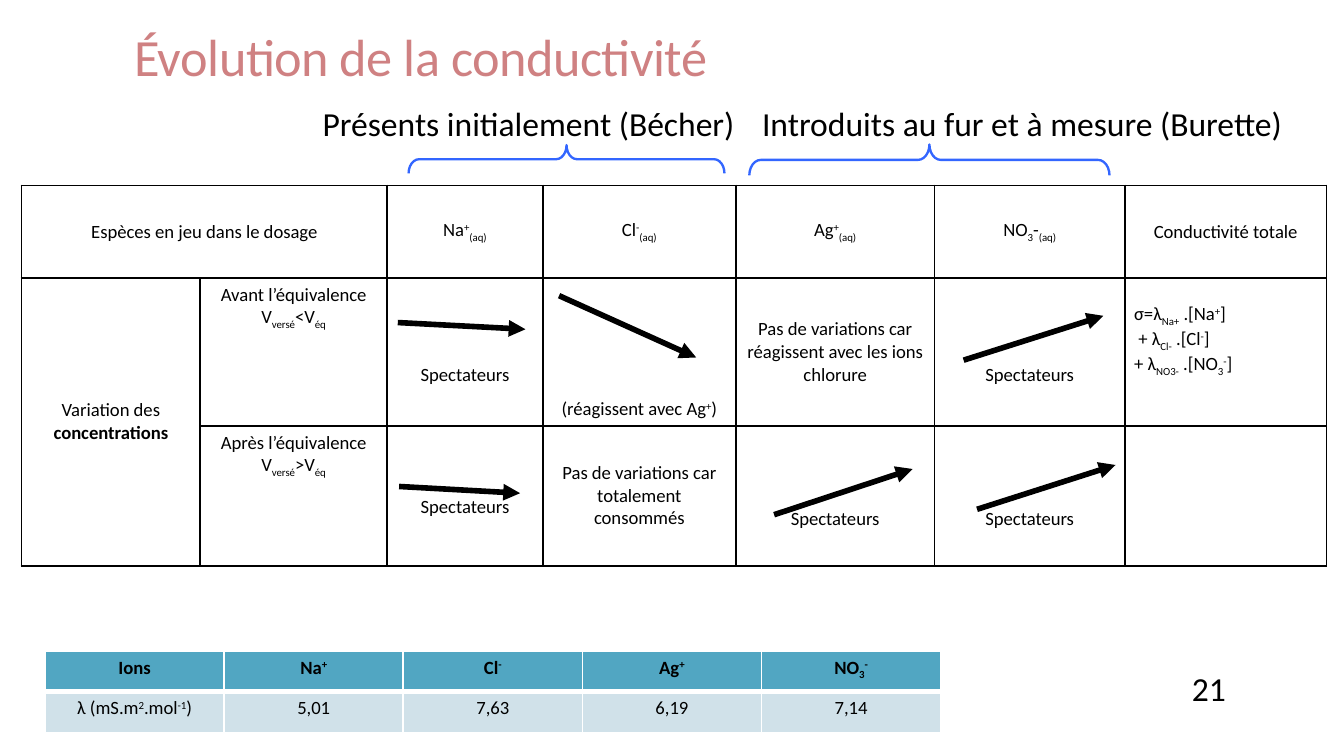
"""Build the slide on how conductivity evolves during a titration."""
import itertools
from typing import NamedTuple

import pptx
import pptx.dml.color
import pptx.enum.shapes
import pptx.enum.text
import pptx.oxml
import pptx.oxml.ns
import pptx.util

COLUMNS, ROWS = 100, 56.25
BLACK, WHITE, ROSE, BLUE = "000000", "FFFFFF", "CF8182", "3366FF"
TEAL, PALE = "51A6C2", "D0E1E9"
FONT = "Calibri"
BASELINES = {"^": "30000", "_": "-25000"}
INSETS = (0.7, 0.4)
LINE = 1.7
CENTER = pptx.enum.text.PP_ALIGN.CENTER
LEFT = pptx.enum.text.PP_ALIGN.LEFT
TOP = pptx.enum.text.MSO_ANCHOR.TOP
MIDDLE = pptx.enum.text.MSO_ANCHOR.MIDDLE
BOTTOM = pptx.enum.text.MSO_ANCHOR.BOTTOM


class Entry(NamedTuple):
    """A table cell: runs split by |, marked ^ raised, _ lowered or * bold."""
    lines: tuple = ()
    anchor: object = MIDDLE
    align: object = CENTER
    drop: float = 0
    lift: float = 0


class Label(NamedTuple):
    """A line of text in a box placed on the grid."""
    text: str
    left: float
    top: float
    width: float
    height: float
    size: float
    color: str = BLACK
    insets: tuple = (1, 0.5)
    wrap: bool = False


class Arrow(NamedTuple):
    """A trend arrow between two grid points."""
    x1: float
    y1: float
    x2: float
    y2: float


class Brace(NamedTuple):
    """A brace on the grid, before its quarter turn."""
    left: float
    top: float
    width: float
    height: float


def grid(n: float) -> pptx.util.Length:
    """Turn a number of grid steps into a length."""
    return pptx.util.Inches(n * 10 / COLUMNS)


def rgb(code: str) -> pptx.dml.color.RGBColor:
    """Turn a hex string into a colour."""
    return pptx.dml.color.RGBColor.from_string(code)


def element(xml: str):
    """Parse one drawing element."""
    return pptx.oxml.parse_xml(xml.replace(" ", f' {pptx.oxml.ns.nsdecls("a")} ', 1))


def style(r, size: float, color: str = BLACK, bold: bool = False) -> None:
    """Format a run."""
    r.font.name, r.font.size, r.font.bold = FONT, pptx.util.Pt(size), bold
    r.font.color.rgb = rgb(color)


def write(p, line: str, bold: bool) -> None:
    """Write a marked-up line into a paragraph."""
    for piece in line.split("|"):
        mark = piece[0] if piece[0] in "^_*" else ""
        r = p.add_run()
        r.text = piece[len(mark):]
        style(r, 10, bold=bold or mark == "*")
        if mark in BASELINES:
            r.font._element.set("baseline", BASELINES[mark])


def border(cell, widths: dict, color: str) -> None:
    """Draw the four edges of a cell."""
    tc = cell._tc.get_or_add_tcPr()
    for i, (side, width) in enumerate(widths.items()):
        tc.insert(i, element(
            f'<a:ln{side} w="{pptx.util.Pt(width)}"><a:solidFill>'
            f'<a:srgbClr val="{color}"/></a:solidFill></a:ln{side}>'))


def fill_cell(cell, entry: Entry, bold: bool = False) -> None:
    """Place the lines of an entry in a cell."""
    side, edge = INSETS
    cell.margin_left = cell.margin_right = grid(side)
    cell.margin_top = grid(edge + entry.drop * LINE)
    cell.margin_bottom = grid(edge + entry.lift * LINE)
    cell.vertical_anchor = entry.anchor
    tf = cell.text_frame
    for i, line in enumerate(entry.lines):
        p = tf.add_paragraph() if i else tf.paragraphs[0]
        p.alignment = entry.align
        write(p, line, bold)


def add_table(s, left: float, top: float, widths: list, heights: list):
    """Add an unstyled table with the given columns and rows."""
    t = s.shapes.add_table(len(heights), len(widths), grid(left), grid(top),
                           grid(sum(widths)), grid(sum(heights))).table
    t.first_row = t.horz_banding = False
    for column, width in zip(t.columns, widths):
        column.width = grid(width)
    for row, height in zip(t.rows, heights):
        row.height = grid(height)
    return t


def add_species(s, entries: list) -> None:
    """Add the table of species and their variations."""
    t = add_table(s, 1.6, 13.8, [13.3, 13.9, 11.6, 14.35, 14.8, 14.15, 15], [6.9, 11, 10.4])
    for i, j in itertools.product(range(3), range(7)):
        t.cell(i, j).fill.background()
        border(t.cell(i, j), dict.fromkeys("LRTB", 1), BLACK)
        if entries[i][j]:
            fill_cell(t.cell(i, j), entries[i][j])
    t.cell(0, 0).merge(t.cell(0, 1))
    t.cell(1, 0).merge(t.cell(2, 0))


def add_lambdas(s, rows: list) -> None:
    """Add the table of molar conductivities."""
    t = add_table(s, 3.35, 48.45, [13.33] * 5, [3.03] * 2)
    for (i, row), j in itertools.product(enumerate(rows), range(5)):
        cell = t.cell(i, j)
        cell.fill.solid()
        cell.fill.fore_color.rgb = rgb(PALE if i else TEAL)
        border(cell, {"L": 1, "R": 1, "T": 1, "B": 1 if i else 3}, WHITE)
        fill_cell(cell, Entry((row[j],), TOP), bold=i == 0)


def add_label(s, label: Label, anchor=TOP):
    """Add a text box and return its run."""
    tf = s.shapes.add_textbox(*map(grid, label[1:5])).text_frame
    tf.word_wrap, tf.vertical_anchor = label.wrap, anchor
    tf.margin_left = tf.margin_right = grid(label.insets[0])
    tf.margin_top = tf.margin_bottom = grid(label.insets[1])
    tf.text = label.text
    r = tf.paragraphs[0].runs[0]
    style(r, label.size, label.color)
    return r


def add_title(s, label: Label) -> None:
    """Add the tightly set title."""
    r = add_label(s, label, BOTTOM)
    r.font._element.set("spc", "-25")
    s.shapes[-1].text_frame.paragraphs[0].line_spacing = 0.85


def add_arrow(s, arrow: Arrow) -> None:
    """Add a trend arrow."""
    c = s.shapes.add_connector(pptx.enum.shapes.MSO_CONNECTOR.STRAIGHT, *map(grid, arrow))
    c.line.color.rgb, c.line.width = rgb(BLACK), pptx.util.Pt(3)
    c.line._get_or_add_ln().append(element('<a:tailEnd type="triangle"/>'))
    c._element.spPr.append(element("<a:effectLst />"))


def add_brace(s, brace: Brace) -> None:
    """Add a brace that opens downwards."""
    sp = s.shapes.add_shape(pptx.enum.shapes.MSO_SHAPE.LEFT_BRACE, *map(grid, brace))
    sp.rotation, sp.shadow.inherit = 90, False
    sp.adjustments[0], sp.adjustments[1] = 0.37, 0.5
    sp.fill.background()
    sp.line.color.rgb, sp.line.width = rgb(BLUE), pptx.util.Pt(1.25)


def main() -> None:
    """Build and save the slide."""
    prs = pptx.Presentation()
    prs.slide_width, prs.slide_height = grid(COLUMNS), grid(ROWS)
    s = prs.slides.add_slide(prs.slide_layouts[6])
    spectators = Entry(("Spectateurs",), drop=2)
    add_title(s, Label("Évolution de la conductivité", 9, 0.2, 82.5, 6.8, 28, ROSE, wrap=True))
    add_species(s, [
        [Entry(("Espèces en jeu dans le dosage",)), None, Entry(("Na|^+|_(aq)",)),
         Entry(("Cl|^-|_(aq)",)), Entry(("Ag|^+|_(aq)",)), Entry(("NO|_3|-|_(aq)",)),
         Entry(("Conductivité totale",))],
        [Entry(("Variation des |*concentrations",)),
         Entry(("Avant l’équivalence", "V|_versé|<V|_éq"), TOP), spectators,
         Entry(("(réagissent avec Ag|^+|)",), BOTTOM),
         Entry(("Pas de variations car réagissent avec les ions chlorure",)), spectators,
         Entry(("σ=λ|_Na+| .[Na|^+|]", " + λ|_Cl-| .[Cl|^-|]", "+ λ|_NO3-| .[NO|_3|^-|]"),
               align=LEFT, lift=1)],
        [None, Entry(("Après l’équivalence", "V|_versé|>V|_éq"), TOP),
         spectators._replace(drop=1), Entry(("Pas de variations car totalement consommés",)),
         spectators, spectators, Entry()]])
    for arrow in (Arrow(29.6, 24, 39.1, 24.5), Arrow(29.7, 36.2, 38.7, 36.7),
                  Arrow(41.6, 22, 51.8, 26.6), Arrow(57.6, 38.3, 67.9, 34.9),
                  Arrow(71.7, 26.8, 82.1, 23.5), Arrow(72.7, 37.9, 83, 34.6)):
        add_arrow(s, arrow)
    for brace in (Brace(41.1, 0.1, 2.1, 23.5), Brace(68, -1.5, 2.3, 26.8)):
        add_brace(s, brace)
    for label in (
            Label("Introduits au fur et à mesure (Burette)", 56, 7.25, 40.8, 3.8, 18, insets=INSETS),
            Label("Présents initialement (Bécher)", 23.3, 7.25, 32.6, 3.8, 18, insets=INSETS),
            Label("21", 87.7, 49.2, 5, 4, 18)):
        add_label(s, label)
    add_lambdas(s, [["Ions", "Na|^+", "Cl|^-", "Ag|^+", "NO|_3|^-"],
                    ["λ (mS.m|^2|.mol|^-1|)", "5,01", "7,63", "6,19", "7,14"]])
    prs.save("out.pptx")


if __name__ == "__main__":
    main()
